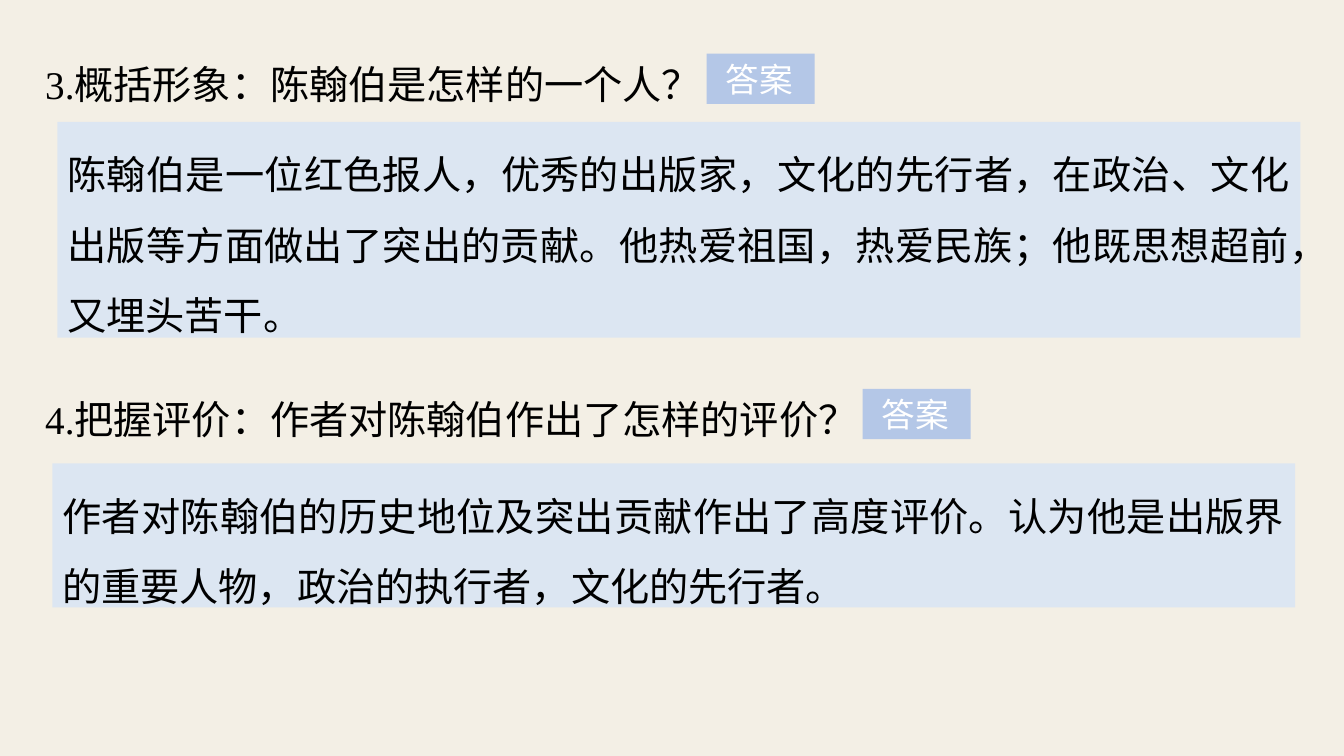
from pptx import Presentation
from pptx.dml.color import RGBColor
from pptx.enum.shapes import MSO_SHAPE
from pptx.enum.text import MSO_ANCHOR, MSO_AUTO_SIZE, PP_ALIGN
from pptx.util import Cm, Pt

COLORS = {
    "background": "F3EFE5",
    "answer": "DCE6F2",
    "label": "B4C7E7",
    "ink": "000000",
    "white": "FFFFFF",
}
LABEL_DROP = 0.61  # from the top of a question to the top of its label

# Question, its top, label left, then answer with left, top and height
EXERCISES = [
    ("3.概括形象：陈翰伯是怎样的一个人？", 0.74, 17.81,
     "陈翰伯是一位红色报人，优秀的出版家，文化的先行者，在政治、文化出版等方面做出了突出的贡献。"
     "他热爱祖国，热爱民族；他既思想超前，又埋头苦干。", 1.45, 3.07, 5.44),
    ("4.把握评价：作者对陈翰伯作出了怎样的评价？", 9.19, 21.74,
     "作者对陈翰伯的历史地位及突出贡献作出了高度评价。认为他是出版界的重要人物，"
     "政治的执行者，文化的先行者。", 1.32, 11.68, 3.63),
]


def color(name):
    return RGBColor.from_string(COLORS[name])


def write(frame, text, size, font, ink, align, spacing, margins):
    frame.word_wrap = True
    frame.auto_size = MSO_AUTO_SIZE.SHAPE_TO_FIT_TEXT
    frame.vertical_anchor = MSO_ANCHOR.TOP
    frame.margin_left, frame.margin_right = Cm(margins[0]), Cm(margins[1])
    frame.margin_top = frame.margin_bottom = Cm(margins[2])
    frame.text = text
    paragraph = frame.paragraphs[0]
    paragraph.alignment = align
    paragraph.line_spacing = spacing
    run_font = paragraph.runs[0].font
    run_font.size = Pt(size)
    run_font.name = font
    run_font.color.rgb = color(ink)


def write_body(frame, text, margins):
    write(frame, text, 28, "Times New Roman", "ink", PP_ALIGN.JUSTIFY, 1.5, margins)


def add_panel(slide, left, top, width, height, fill):
    panel = slide.shapes.add_shape(
        MSO_SHAPE.RECTANGLE, Cm(left), Cm(top), Cm(width), Cm(height))
    panel.shadow.inherit = False
    panel.fill.solid()
    panel.fill.fore_color.rgb = color(fill)
    panel.line.fill.background()
    return panel.text_frame


def add_question(slide, text, top):
    question = slide.shapes.add_textbox(Cm(0.81), Cm(top), Cm(31.8), Cm(1.9))
    write_body(question.text_frame, text, (0.33, 0.33, 0.18))


def add_answer(slide, text, left, top, height):
    answer = add_panel(slide, left, top, 31.32, height, "answer")
    write_body(answer, text, (0.25, 0.25, 0.13))


def add_label(slide, left, top):
    label = add_panel(slide, left, top, 2.72, 1.27, "label")
    write(label, "答案", 24, "Arial", "white", PP_ALIGN.LEFT, 1.0, (0.48, 0.25, 0.13))


def main():
    deck = Presentation()
    deck.slide_width, deck.slide_height = Cm(33.87), Cm(19.05)
    slide = deck.slides.add_slide(deck.slide_layouts[6])
    slide.background.fill.solid()
    slide.background.fill.fore_color.rgb = color("background")

    # Each exercise: question, answer panel, answer label
    for question, top, label_left, answer, left, answer_top, height in EXERCISES:
        add_question(slide, question, top)
        add_answer(slide, answer, left, answer_top, height)
        add_label(slide, label_left, top + LABEL_DROP)

    deck.save("out.pptx")


if __name__ == "__main__":
    main()
